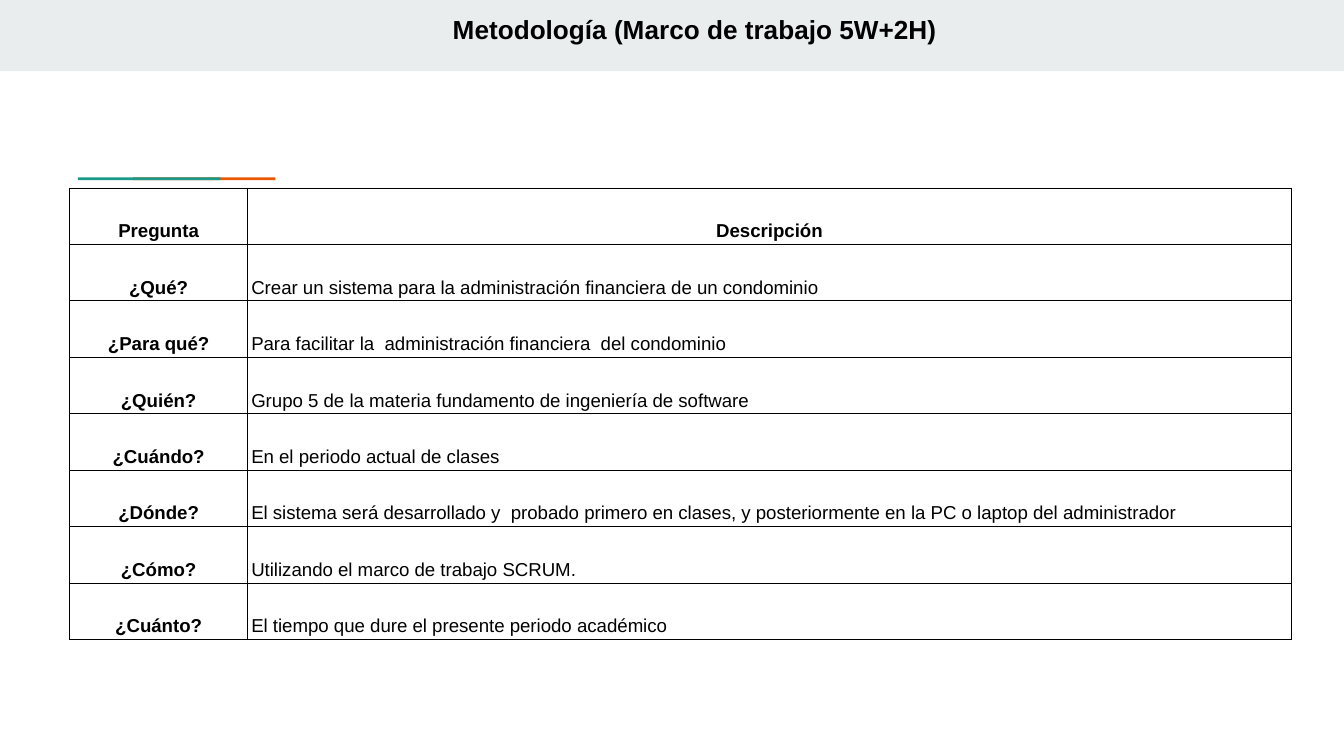
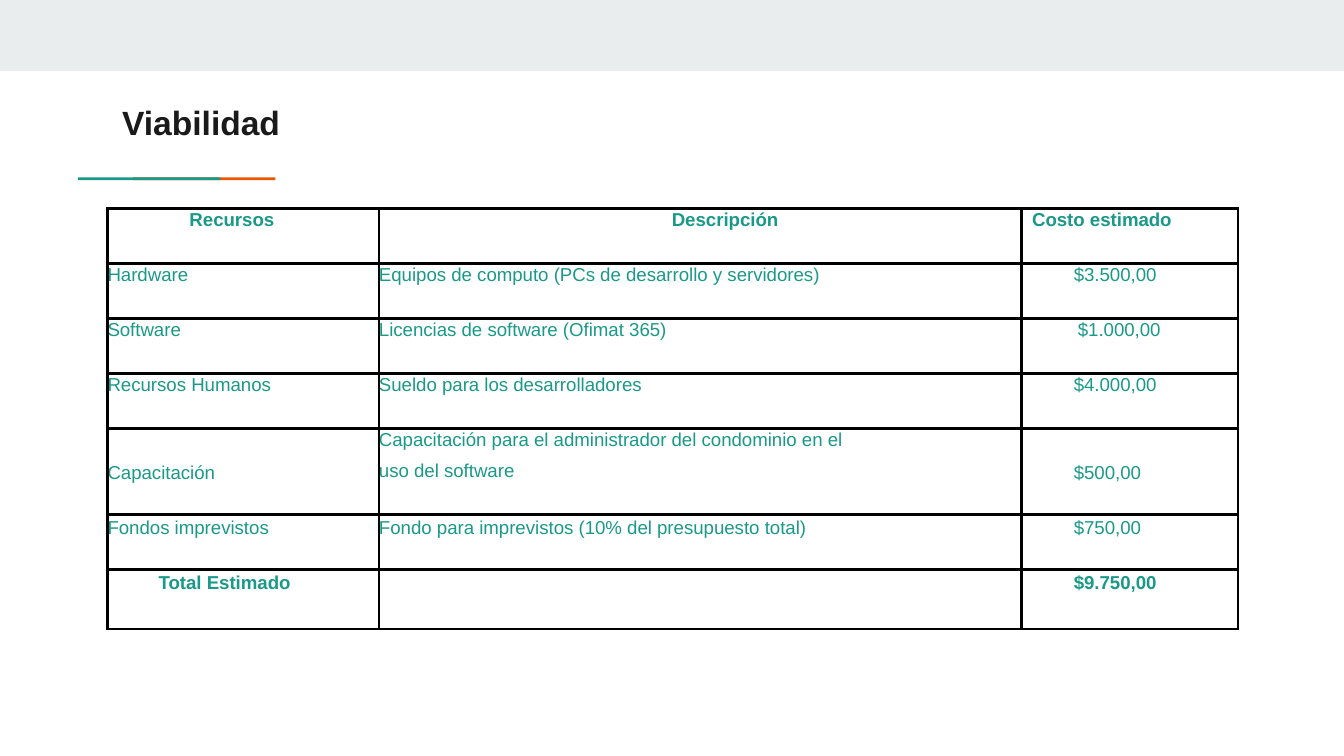
import pptx
import pptx.dml.color
import pptx.enum.shapes
import pptx.enum.text
import pptx.oxml.ns
import pptx.util
from lxml import etree

Inches, Pt = pptx.util.Inches, pptx.util.Pt
ALIGN, ANCHOR = pptx.enum.text.PP_ALIGN, pptx.enum.text.MSO_ANCHOR
COLORS = {"band": "E9EDEE", "teal": "1A9988", "orange": "EB5600",
          "black": "000000", "title": "1A1A1A"}


def rgb(name):
    return pptx.dml.color.RGBColor.from_string(COLORS[name])


class Deck:
    """Shared style and the slide being built."""
    font = "Arial"

    def __init__(self):
        self.prs = pptx.Presentation()
        # 16:9 page
        self.prs.slide_width, self.prs.slide_height = Inches(10), Inches(10 * 9 / 16)

    def slide(self):
        self.s = self.prs.slides.add_slide(self.prs.slide_layouts[6])
        # Top band and two-colour accent line
        self.rect(0, 0, 10, 0.53, "band")
        self.rect(0.99, 1.32, 1.06, 0.02, "orange")
        self.rect(0.58, 1.32, 1.06, 0.02, "teal")

    def rect(self, x, y, w, h, color):
        sp = self.s.shapes.add_shape(pptx.enum.shapes.MSO_SHAPE.RECTANGLE,
                                     Inches(x), Inches(y), Inches(w), Inches(h))
        sp.shadow.inherit = False
        sp.fill.solid()
        sp.fill.fore_color.rgb = rgb(color)
        sp.line.fill.background()

    def style(self, p, size, color, bold=False, align=ALIGN.LEFT, indent=0):
        p.alignment = align
        p.font.name, p.font.size, p.font.bold = self.font, Pt(size), bold
        p.font.color.rgb = rgb(color)
        if indent:
            p._p.get_or_add_pPr().set("marL", str(Inches(indent)))

    def title(self, text, x, y, size, color, align=ALIGN.LEFT):
        sp = self.s.shapes.add_textbox(Inches(x), Inches(y), Inches(8.41), Inches(0.59))
        tf = sp.text_frame
        tf.word_wrap = True
        tf.margin_left = tf.margin_right = tf.margin_top = tf.margin_bottom = Inches(0.1)
        tf.text = text
        self.style(tf.paragraphs[0], size, color, True, align, 0.01)

    def table(self, x, y, cols, heights, rows, border):
        tbl = self.s.shapes.add_table(len(rows), len(cols), Inches(x), Inches(y),
                                      Inches(sum(cols)), Inches(sum(heights))).table
        tbl.first_row = tbl.horz_banding = False
        for col, w in zip(tbl.columns, cols):
            col.width = Inches(w)
        for row, h, texts in zip(tbl.rows, heights, rows):
            row.height = Inches(h)
            for cell, text in zip(row.cells, texts):
                self.borders(cell, border)
                cell.fill.background()
                cell.text = text
        return tbl

    def borders(self, cell, width):
        tcPr = cell._tc.get_or_add_tcPr()
        qn = pptx.oxml.ns.qn
        for side in "LRTB":
            ln = etree.SubElement(tcPr, qn(f"a:ln{side}"), w=str(Pt(width)))
            fill = etree.SubElement(ln, qn("a:solidFill"))
            etree.SubElement(fill, qn("a:srgbClr"), val=COLORS["black"])

    def margins(self, cell, left, top, right, bottom):
        cell.margin_left, cell.margin_top = Inches(left), Inches(top)
        cell.margin_right, cell.margin_bottom = Inches(right), Inches(bottom)


def methodology(deck):
    deck.slide()
    deck.title("Metodología (Marco de trabajo 5W+2H)", 0.96, 0, 14, "black", ALIGN.CENTER)
    rows = [
        ("Pregunta", "Descripción"),
        ("¿Qué?", "Crear un sistema para la administración financiera de un condominio"),
        ("¿Para qué?", "Para facilitar la  administración financiera  del condominio"),
        ("¿Quién?", "Grupo 5 de la materia fundamento de ingeniería de software"),
        ("¿Cuándo?", "En el periodo actual de clases"),
        ("¿Dónde?", "El sistema será desarrollado y  probado primero en clases, "
                    "y posteriormente en la PC o laptop del administrador"),
        ("¿Cómo?", "Utilizando el marco de trabajo SCRUM."),
        ("¿Cuánto?", "El tiempo que dure el presente periodo académico"),
    ]
    tbl = deck.table(0.52, 1.4, [1.32, 7.77], [0.42] * len(rows), rows, 0.6)
    for i, row in enumerate(tbl.rows):
        for j, cell in enumerate(row.cells):
            deck.margins(cell, 0.03, 0.02, 0.03, 0.02)
            cell.vertical_anchor = ANCHOR.BOTTOM
            heading = i == 0 or j == 0
            p = cell.text_frame.paragraphs[0]
            p.line_spacing = 1.15
            deck.style(p, 10, "black", heading, ALIGN.CENTER if heading else ALIGN.LEFT)


def viability(deck):
    deck.slide()
    deck.title("Viabilidad", 0.8, 0.66, 18, "title")
    rows = [
        ("Recursos", "Descripción", "Costo estimado"),
        ("Hardware", "Equipos de computo (PCs de desarrollo y servidores)", "$3.500,00"),
        ("Software", "Licencias de software (Ofimat 365)", "$1.000,00"),
        ("Recursos Humanos", "Sueldo para los desarrolladores", "$4.000,00"),
        ("Capacitación", "Capacitación para el administrador del condominio en el\n"
                         "uso del software", "$500,00"),
        ("Fondos imprevistos", "Fondo para imprevistos (10% del presupuesto total)", "$750,00"),
        ("Total Estimado", "", "$9.750,00"),
    ]
    heights = [0.41, 0.41, 0.41, 0.41, 0.64, 0.41, 0.44]
    tbl = deck.table(0.8, 1.55, [2.02, 4.78, 1.61], heights, rows, 1.5)
    training, total = 4, len(rows) - 1
    # Indents that differ from the column rule
    indents = {(0, 0): 0.61, (0, 1): 0.37, (0, 2): 0.08, (2, 2): 0.42, (total, 0): 0.38}
    for i, row in enumerate(tbl.rows):
        for j, cell in enumerate(row.cells):
            lowered = i == training and j != 1
            top = 0.25 if lowered else 0.02 if i > training else 0.01
            deck.margins(cell, 0, top, 0, 0)
            indent = indents.get((i, j), 0.39 if j == 2 else 0)
            align = ALIGN.CENTER if (i, j) == (0, 1) else ALIGN.LEFT
            for k, p in enumerate(cell.text_frame.paragraphs):
                deck.style(p, 10, "teal", i in (0, total), align, indent)
                if k:
                    p.space_before = Pt(5.2)


def main():
    deck = Deck()
    methodology(deck)
    viability(deck)
    deck.prs.save("out.pptx")


if __name__ == "__main__":
    main()
